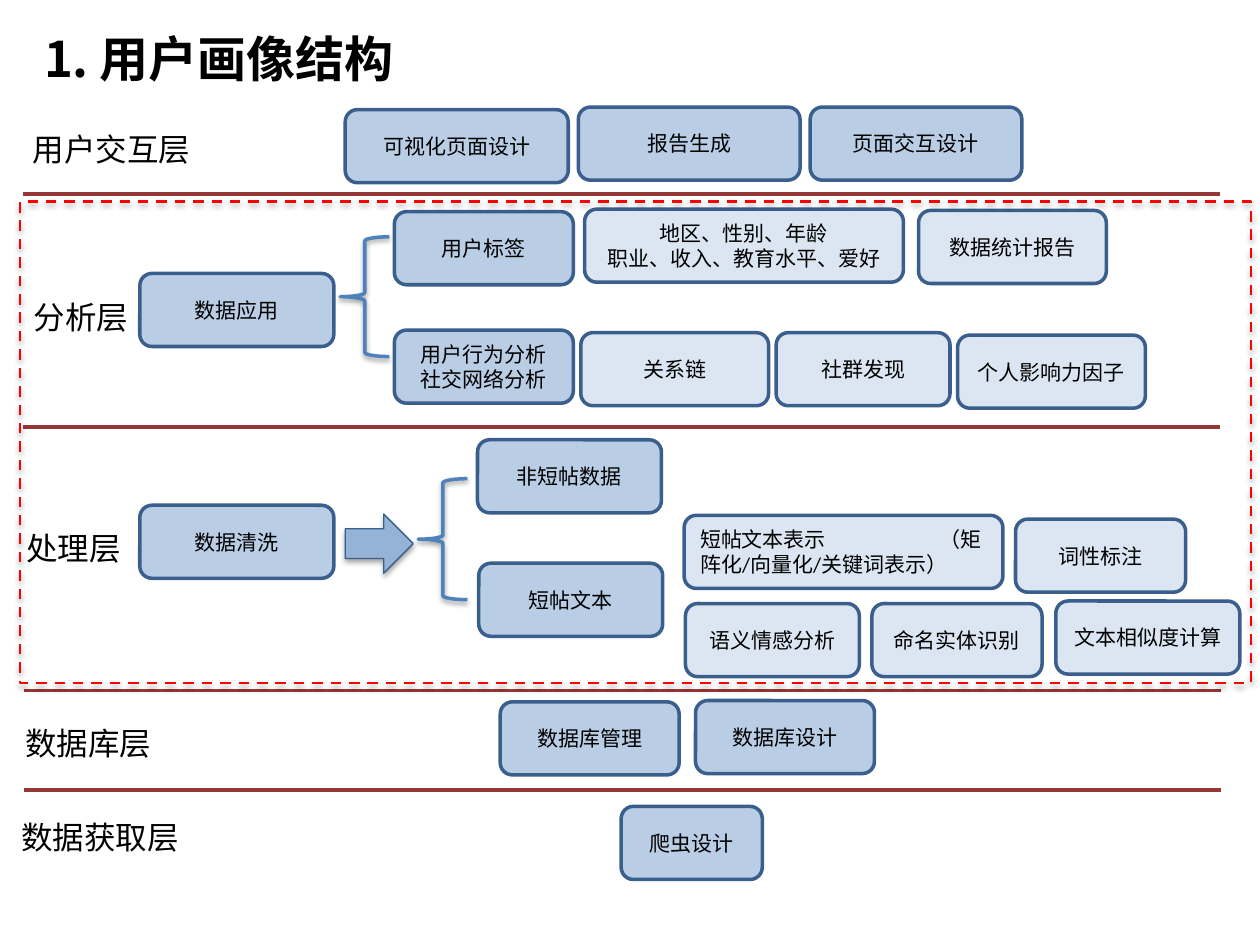
from lxml import etree
from pptx import Presentation
from pptx.dml.color import RGBColor
from pptx.enum import dml, shapes, text
from pptx.oxml.ns import qn
from pptx.util import Inches, Pt

HUE = {"mid": "B9CDE5", "pale": "DCE6F2", "edge": "3A5F8C", "rule": "953735",
       "brace": "4F81BD", "arrow": "95B3D7", "frame": "FF0000", "ink": "000000"}
CJK = "Noto Sans CJK SC"
KIND = shapes.MSO_SHAPE


def write(frame, words, size=12, face=CJK, bold=False, align=text.PP_ALIGN.LEFT,
          anchor=text.MSO_ANCHOR.TOP, tab=None):
    frame.word_wrap = True
    frame.auto_size = text.MSO_AUTO_SIZE.NONE
    frame.vertical_anchor = anchor
    frame.text = words
    for para in frame.paragraphs:
        para.alignment = align
        if tab:
            stops = etree.SubElement(para._p.get_or_add_pPr(), qn("a:tabLst"))
            etree.SubElement(stops, qn("a:tab"), pos=str(Inches(tab)), algn="l")
        for run in para.runs:
            font = run.font
            font.size, font.name, font.bold = Pt(size), face, bold
            font.color.rgb = RGBColor.from_string(HUE["ink"])
            etree.SubElement(run._r.get_or_add_rPr(), qn("a:ea"), typeface=CJK)


def draw(kind, spot, fill, line, width, shade=None):
    item = slide.shapes.add_shape(kind, *map(Inches, spot))
    item.shadow.inherit = False
    if fill:
        item.fill.solid()
        item.fill.fore_color.rgb = RGBColor.from_string(HUE[fill])
    else:
        item.fill.background()
    item.line.color.rgb = RGBColor.from_string(HUE[line])
    item.line.width = Pt(width)
    if shade:
        alpha, dist = shade
        effect = item._element.spPr.find(qn("a:effectLst"))
        cast = etree.SubElement(effect, qn("a:outerShdw"), blurRad=str(Pt(3.1)),
                                dist=str(Pt(dist)), dir="5400000", rotWithShape="0")
        tint = etree.SubElement(cast, qn("a:srgbClr"), val=HUE["ink"])
        etree.SubElement(tint, qn("a:alpha"), val=str(alpha * 1000))
    return item


deck = Presentation()
deck.slide_width, deck.slide_height = Inches(10), Inches(7.5)
slide = deck.slides.add_slide(deck.slide_layouts[5])

# Title
title = slide.shapes.title
title.left, title.top, title.width, title.height = map(Inches, (0.25, 0.18, 9, 0.67))
write(title.text_frame, "1. 用户画像结构", size=28, bold=True)

# Rules between the layers
for left, top in [(0.18, 1.54), (0.18, 3.39), (0.19, 5.48), (0.19, 6.27)]:
    rule = slide.shapes.add_connector(
        shapes.MSO_CONNECTOR.STRAIGHT, Inches(left), Inches(top),
        Inches(left + 9.5), Inches(top))
    rule.line.color.rgb = RGBColor.from_string(HUE["rule"])
    rule.line.width = Pt(2.25)
    etree.SubElement(rule._element.spPr, qn("a:effectLst"))

# Layer names
for left, top, name in [(0.16, 0.98, "用户交互层"), (0.17, 2.32, "分析层"),
                        (0.11, 4.15, "处理层"), (0.1, 5.7, "数据库层"),
                        (0.07, 6.44, "数据获取层")]:
    label = slide.shapes.add_textbox(Inches(left), Inches(top), Inches(1.75), Inches(0.4))
    write(label.text_frame, name, size=18)

# Boxes: left, top, width, text
groups = {
    "mid": [
        (2.74, 0.87, 1.77, "可视化页面设计"),
        (4.59, 0.85, 1.76, "报告生成"),
        (6.43, 0.85, 1.68, "页面交互设计"),
        (1.11, 2.17, 1.54, "数据应用"),
        (3.13, 1.68, 1.42, "用户标签"),
        (3.13, 2.62, 1.42, "用户行为分析\n社交网络分析"),
        (1.11, 4.01, 1.54, "数据清洗"),
        (3.79, 3.49, 1.46, "非短帖数据"),
        (3.8, 4.47, 1.46, "短帖文本"),
        (3.97, 5.57, 1.42, "数据库管理"),
        (5.52, 5.56, 1.42, "数据库设计"),
        (4.93, 6.4, 1.12, "爬虫设计"),
    ],
    "pale": [
        (4.64, 1.66, 2.53, "地区、性别、年龄\n职业、收入、教育水平、爱好"),
        (7.29, 1.67, 1.49, "数据统计报告"),
        (4.61, 2.64, 1.49, "关系链"),
        (6.16, 2.64, 1.38, "社群发现"),
        (7.6, 2.66, 1.49, "个人影响力因子"),
        (5.43, 4.09, 2.53, "短帖文本表示\t（矩阵化/向量化/关键词表示）"),
        (8.06, 4.12, 1.35, "词性标注"),
        (5.44, 4.79, 1.38, "语义情感分析"),
        (6.92, 4.79, 1.35, "命名实体识别"),
        (8.38, 4.77, 1.46, "文本相似度计算"),
    ],
}
for fill, boxes in groups.items():
    for left, top, width, words in boxes:
        box = draw(KIND.ROUNDED_RECTANGLE, (left, top, width, 0.58), fill, "edge", 2)
        tabbed = "\t" in words
        write(box.text_frame, words, face="Calibri", anchor=text.MSO_ANCHOR.MIDDLE,
              align=text.PP_ALIGN.LEFT if tabbed else text.PP_ALIGN.CENTER,
              tab=1.9 if tabbed else None)

# Braces, arrow and dashed frame
for spot in [(2.7, 1.88, 0.39, 0.95), (3.32, 3.8, 0.39, 0.96)]:
    draw(KIND.LEFT_BRACE, spot, None, "brace", 2, shade=(38, 1.6))
draw(KIND.RIGHT_ARROW, (2.74, 4.08, 0.54, 0.47), "arrow", "edge", 0.75, shade=(35, 1.8))
frame = draw(KIND.RECTANGLE, (0.16, 1.6, 9.77, 3.82), None, "frame", 1.5, shade=(35, 1.8))
frame.line.dash_style = dml.MSO_LINE.DASH

deck.save("out.pptx")
